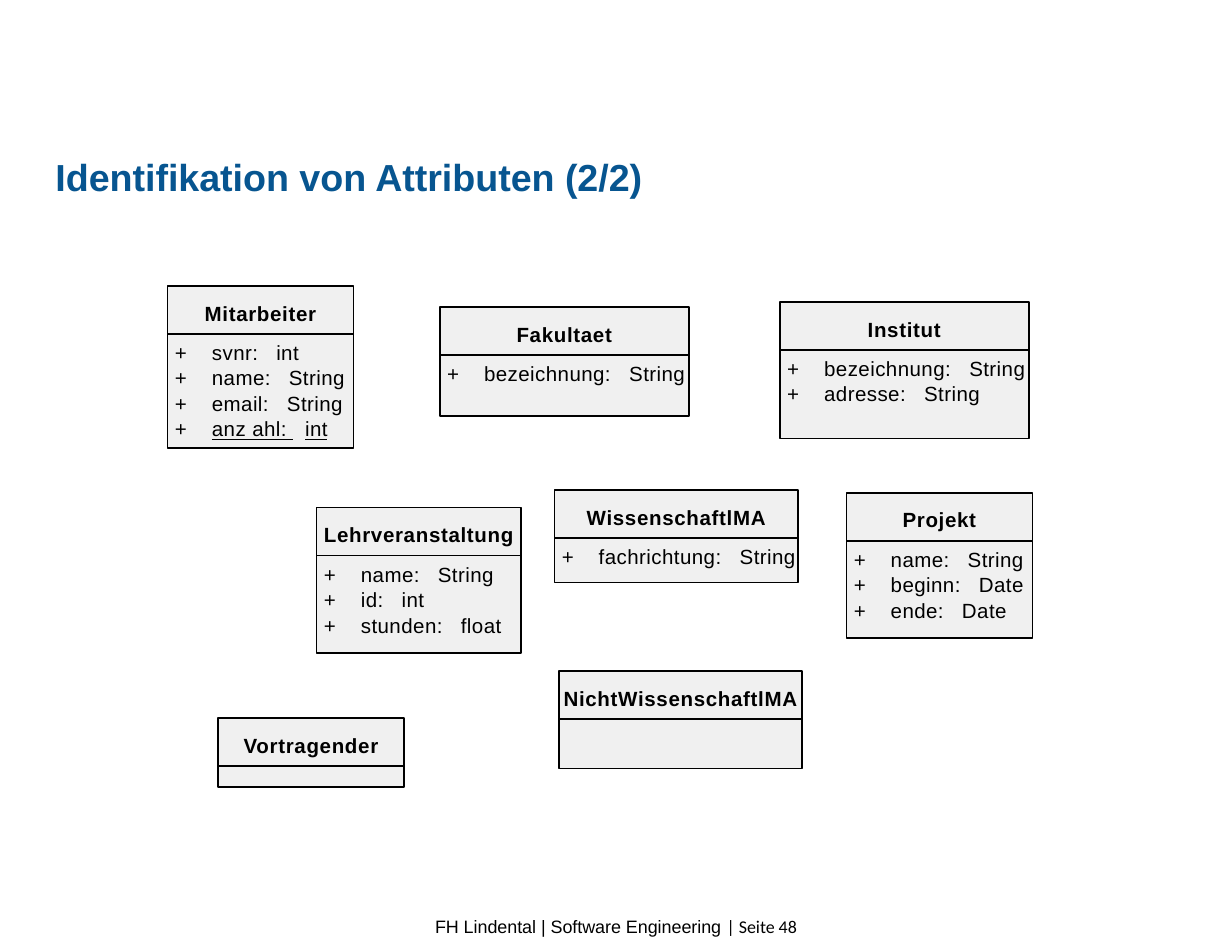
from lxml import etree
from pptx import Presentation
from pptx.dml.color import RGBColor
from pptx.enum.shapes import MSO_CONNECTOR, MSO_SHAPE
from pptx.enum.text import MSO_ANCHOR, MSO_AUTO_SIZE, PP_ALIGN
from pptx.oxml.ns import qn
from pptx.util import Inches, Pt

RECT, LINE = MSO_SHAPE.RECTANGLE, MSO_CONNECTOR.STRAIGHT
LEFT, MID, TOP = PP_ALIGN.LEFT, PP_ALIGN.CENTER, MSO_ANCHOR.TOP
FIXED = MSO_AUTO_SIZE.NONE

COLS, ROWS = 100, 76.4  # grid steps of a tenth of an inch
HEAD = 3.9  # rows of a class name
PAD = 0.6  # columns left of the attributes
TAB = 3  # columns from the sign to the name
BLACK, BLUE, GREY = "000000", "075590", "F0F0F0"

# left, top, width, height in grid steps; name; attributes as (name, type)
CLASSES = [
    (13.6, 23.2, 15.1, 13.2, "Mitarbeiter",
     [("svnr", "int"), ("name", "String"), ("email", "String"), ("anz ahl", "int")]),
    (35.7, 24.9, 20.2, 8.9, "Fakultaet", [("bezeichnung", "String")]),
    (63.3, 24.5, 20.2, 11.1, "Institut",
     [("bezeichnung", "String"), ("adresse", "String")]),
    (45, 39.8, 19.8, 7.5, "WissenschaftlMA", [("fachrichtung", "String")]),
    (25.7, 41.2, 16.6, 11.8, "Lehrveranstaltung",
     [("name", "String"), ("id", "int"), ("stunden", "float")]),
    (68.7, 40, 15.1, 11.8, "Projekt",
     [("name", "String"), ("beginn", "Date"), ("ende", "Date")]),
    (45.4, 54.5, 19.7, 7.9, "NichtWissenschaftlMA", []),
    (17.7, 58.3, 15.1, 5.6, "Vortragender", []),
]
STATIC = {"anz ahl"}


def grid(*steps):
    return [Inches(step / 10) for step in steps]


def color(code):
    return RGBColor.from_string(code)


def style(run, size, code=BLACK, bold=False, face="Arial", gap=0):
    """Format a run; gap is the letter spacing in points."""
    font = run.font
    font.size, font.bold, font.name = Pt(size), bold, face
    font.color.rgb = color(code)
    run._r.get_or_add_rPr().set("spc", str(round(gap * 100)))


def bare(frame, wrap=False):
    frame.margin_left = frame.margin_right = 0
    frame.margin_top = frame.margin_bottom = 0
    frame.word_wrap, frame.auto_size = wrap, FIXED
    frame.vertical_anchor = TOP
    return frame


def add_run(para, text, **look):
    run = para.add_run()
    run.text = text
    style(run, **look)
    return run


def set_tab(para):
    tabs = etree.SubElement(para._p.get_or_add_pPr(), qn("a:tabLst"))
    etree.SubElement(tabs, qn("a:tab"), pos=str(grid(TAB)[0]), algn="l")


def add_title(slide, box, text):
    title = slide.shapes.title
    title.left, title.top, title.width, title.height = grid(*box)
    frame = bare(title.text_frame, True)
    frame.text = text
    para = frame.paragraphs[0]
    para.alignment = LEFT
    style(para.runs[0], 22, BLUE, True)


def add_rule(slide, x, y, width):
    rule = slide.shapes.add_connector(LINE, *grid(x, y, x + width, y))
    rule.line.color.rgb = color(BLACK)
    rule.line.width = Pt(1)
    etree.SubElement(rule._element.spPr, qn("a:effectLst"))


def add_fields(slide, box, fields):
    frame = bare(slide.shapes.add_textbox(*grid(*box)).text_frame)
    for i, (name, kind) in enumerate(fields):
        para = frame.add_paragraph() if i else frame.paragraphs[0]
        para.space_after = Pt(0.5)
        set_tab(para)
        add_run(para, "+\t", size=12, gap=0.3)
        for text, gap in ((name + ":", 0.25), (" ", 7), (kind, 0.25)):
            run = add_run(para, text, size=12, gap=gap)
            run.font.underline = name in STATIC


def add_class(slide, box, name, fields):
    x, y, width, height = box
    card = slide.shapes.add_shape(RECT, *grid(*box))
    card.shadow.inherit = False
    card.fill.solid()
    card.fill.fore_color.rgb = color(GREY)
    card.line.color.rgb = color(BLACK)
    card.line.width = Pt(1)
    frame = bare(card.text_frame)
    frame.margin_top = grid(1.2)[0]
    frame.text = name
    para = frame.paragraphs[0]
    para.alignment = MID
    style(para.runs[0], 12, bold=True, gap=0.4)
    add_rule(slide, x, y + HEAD, width)
    if fields:
        top = HEAD + 0.5
        area = (x + PAD, y + top, width - PAD, height - top)
        add_fields(slide, area, fields)


def add_footer(slide, box):
    frame = bare(slide.shapes.add_textbox(*grid(*box)).text_frame, True)
    para = frame.paragraphs[0]
    para.alignment = MID
    add_run(para, "FH Lindental | Software Engineering ", size=10.5)
    add_run(para, "| Seite 48", size=10.5, face="Calibri")


def main():
    deck = Presentation()
    deck.slide_width, deck.slide_height = grid(COLS, ROWS)
    slide = deck.slides.add_slide(deck.slide_layouts[5])
    add_title(slide, (4.5, 12.5, 91.2, 3.7), "Identifikation von Attributen (2/2)")
    for *box, name, fields in CLASSES:
        add_class(slide, box, name, fields)
    add_footer(slide, (0, 74.3, COLS, 2.1))
    deck.save("out.pptx")


if __name__ == "__main__":
    main()
